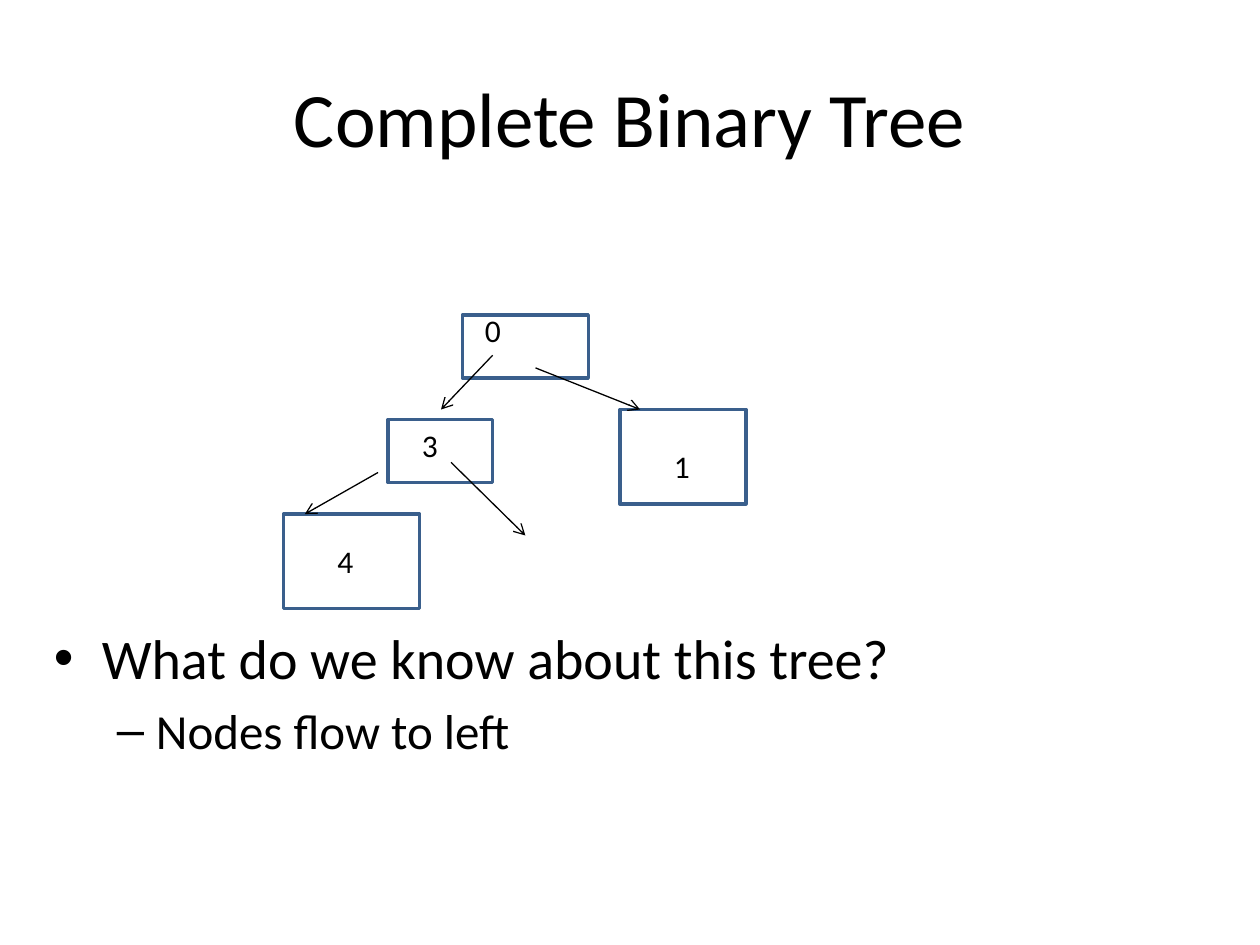
import pptx
import pptx.util
import pptx.dml.color
import pptx.enum.shapes
import pptx.enum.text
import pptx.oxml
import pptx.oxml.ns
from pptx.util import Inches

FONT = "Calibri"
COLORS = {"text": "000000", "node": "FFFFFF", "border": "3A5F8C", "arrow": "000000"}

TITLE = "Complete Binary Tree"
# text, level, size, left margin, hanging indent, space before (pt), bullet
BULLETS = [
    ("What do we know about this tree?", 0, 32, 0.38, 0.38, 0, "•"),
    ("Nodes flow to left", 1, 28, 0.81, 0.31, 5.6, "–"),
]
# label, node box (left, top, width, height), label position (left, top)
NODES = [
    ("0", (3.67, 2.5, 1, 0.5), (3.75, 2.42)),
    ("1", (4.92, 3.25, 1, 0.75), (5.25, 3.5)),
    ("3", (3.08, 3.33, 0.83, 0.5), (3.25, 3.33)),
    ("4", (2.25, 4.08, 1.08, 0.75), (2.58, 4.25)),
]
# start x, start y, end x, end y
ARROWS = [
    (3.91, 2.82, 3.5, 3.25),
    (4.25, 2.92, 5.08, 3.25),
    (3.58, 3.67, 4.17, 4.25),
    (3, 3.75, 2.42, 4.08),
]
LABEL_SIZE = (0.33, 0.4)


def color(name):
    return pptx.dml.color.RGBColor.from_string(COLORS[name])


def inches(values):
    return [Inches(value) for value in values]


def write(paragraph, text, size):
    paragraph.text = text
    font = paragraph.runs[0].font
    font.name = FONT
    font.size = pptx.util.Pt(size)
    font.color.rgb = color("text")


def add_child(parent, tag, **attributes):
    child = pptx.oxml.ns.qn(tag)
    element = parent.makeelement(child, attributes)
    parent.append(element)


def add_title(slide):
    title = slide.shapes.title
    title.left, title.top, title.width, title.height = inches((0.5, 0.3, 9, 1.25))
    title.text_frame.vertical_anchor = pptx.enum.text.MSO_ANCHOR.MIDDLE
    paragraph = title.text_frame.paragraphs[0]
    write(paragraph, TITLE, 44)
    paragraph.alignment = pptx.enum.text.PP_ALIGN.CENTER


def add_bullets(slide):
    frame = slide.shapes.add_textbox(*inches((0.33, 4.9, 9, 1.8))).text_frame
    frame.word_wrap = True
    for index, (text, level, size, margin, hanging, space, bullet) in enumerate(BULLETS):
        paragraph = frame.add_paragraph() if index else frame.paragraphs[0]
        write(paragraph, text, size)
        paragraph.level = level
        paragraph.space_before = pptx.util.Pt(space)
        properties = paragraph._p.get_or_add_pPr()
        properties.set("marL", str(Inches(margin)))
        properties.set("indent", str(-Inches(hanging)))
        add_child(properties, "a:buFont", typeface="Arial")
        add_child(properties, "a:buChar", char=bullet)


def add_node(slide, box):
    node = slide.shapes.add_shape(pptx.enum.shapes.MSO_SHAPE.RECTANGLE, *inches(box))
    node.shadow.inherit = False
    node.fill.solid()
    node.fill.fore_color.rgb = color("node")
    node.line.color.rgb = color("border")
    node.line.width = pptx.util.Pt(2)


def add_label(slide, text, position):
    frame = slide.shapes.add_textbox(*inches(position + LABEL_SIZE)).text_frame
    frame.word_wrap = False
    frame.auto_size = pptx.enum.text.MSO_AUTO_SIZE.SHAPE_TO_FIT_TEXT
    write(frame.paragraphs[0], text, 18)


def add_arrow(slide, ends):
    arrow = slide.shapes.add_connector(
        pptx.enum.shapes.MSO_CONNECTOR.STRAIGHT, *inches(ends))
    arrow.line.color.rgb = color("arrow")
    arrow.line.width = pptx.util.Pt(0.75)
    add_child(arrow.line._get_or_add_ln(), "a:tailEnd", type="arrow")
    add_child(arrow._element.spPr, "a:effectLst")


def main():
    presentation = pptx.Presentation()
    presentation.slide_width, presentation.slide_height = inches((10, 7.5))
    slide = presentation.slides.add_slide(presentation.slide_layouts[5])

    add_title(slide)
    add_bullets(slide)

    # Tree: boxes, then labels, then arrows on top
    for _, box, _ in NODES:
        add_node(slide, box)
    for text, _, position in NODES:
        add_label(slide, text, position)
    for ends in ARROWS:
        add_arrow(slide, ends)

    presentation.save("out.pptx")


if __name__ == "__main__":
    main()
